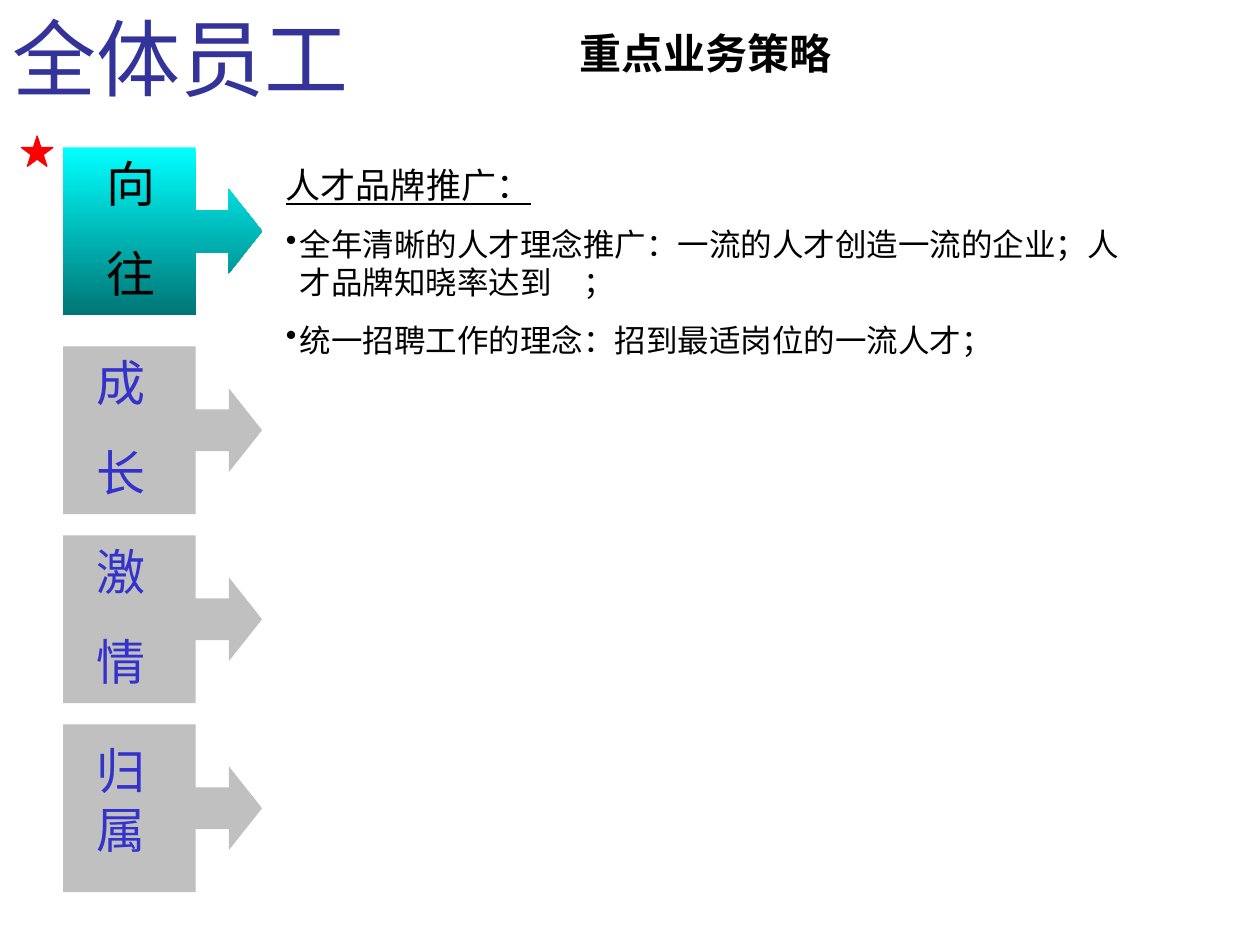
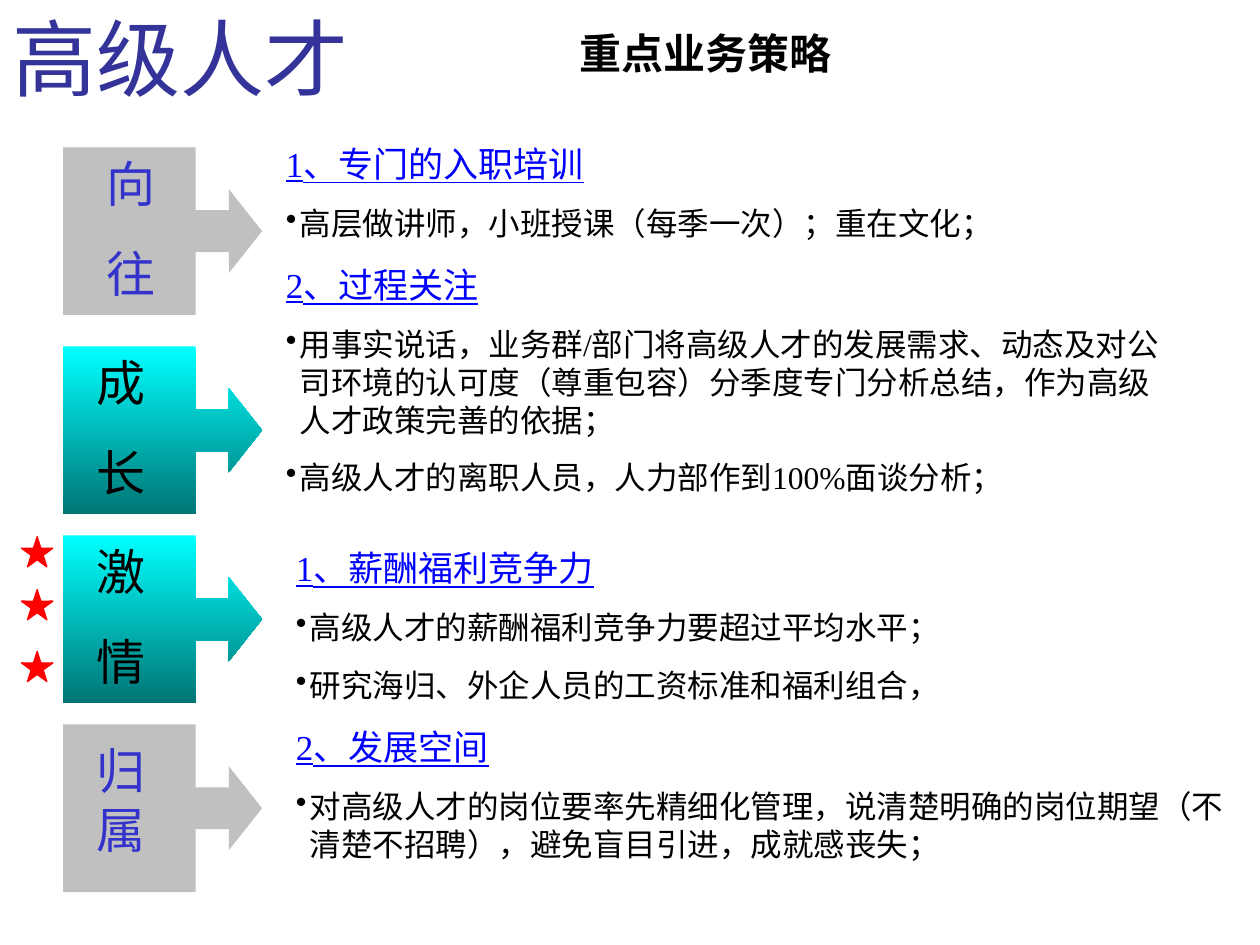
from lxml import etree
from pptx import Presentation
from pptx.dml.color import RGBColor
from pptx.enum.shapes import MSO_SHAPE as Shape
from pptx.enum.text import MSO_ANCHOR as Anchor, MSO_AUTO_SIZE as AutoSize, PP_ALIGN as Align
from pptx.oxml.ns import qn
from pptx.util import Inches, Pt

# Content: a body line is (kind, text)
HEAD, BULLET = "head", "bullet"
SUBTITLE = "重点业务策略"

# Stage: label lines, top of callout, label left, label top
STAGES = [
    (["向", "往"], 1.17, 0.75, 1.17),
    (["成", "长"], 2.75, 0.67, 2.75),
    (["激", "情"], 4.25, 0.67, 4.25),
    (["归属"], 5.75, 0.67, 5.83),
]

SLIDES = [
    {
        "title": "全体员工",
        "active": {0},
        "star_tops": [1.08],
        "head_colour": "black",
        "bodies": [
            ((2.17, 1.25, 6.92, 2.11), [
                (HEAD, "人才品牌推广："),
                (BULLET, "全年清晰的人才理念推广：一流的人才创造一流的企业；人才品牌知晓率达到　；"),
                (BULLET, "统一招聘工作的理念：招到最适岗位的一流人才；"),
            ]),
        ],
    },
    {
        "title": "高级人才",
        "active": {1, 2},
        "star_tops": [4.26, 4.68, 5.17],
        "head_colour": "link",
        "bodies": [
            ((2.17, 1.08, 7.17, 2.91), [
                (HEAD, "1、专门的入职培训"),
                (BULLET, "高层做讲师，小班授课（每季一次）；重在文化；"),
                (HEAD, "2、过程关注"),
                (BULLET, "用事实说话，业务群/部门将高级人才的发展需求、动态及对公司环境的认可度"
                         "（尊重包容）分季度专门分析总结，作为高级人才政策完善的依据；"),
                (BULLET, "高级人才的离职人员，人力部作到100%面谈分析；"),
            ]),
            ((2.25, 4.29, 7.75, 3.07), [
                (HEAD, "1、薪酬福利竞争力"),
                (BULLET, "高级人才的薪酬福利竞争力要超过平均水平；"),
                (BULLET, "研究海归、外企人员的工资标准和福利组合，"),
                (HEAD, "2、发展空间"),
                (BULLET, "对高级人才的岗位要率先精细化管理，说清楚明确的岗位期望"
                         "（不清楚不招聘），避免盲目引进，成就感丧失；"),
            ]),
        ],
    },
]

# Shared style
COLOURS = {
    "title": "333399", "black": "000000", "link": "0000FF", "idle_label": "3333CC",
    "idle": "C0C0C0", "active_top": "00FFFF", "active_bottom": "007575", "star": "FF0000",
}
TITLE_FONT, TEXT_FONT = "Lato", "Times New Roman"
CALLOUT_ADJUSTMENTS = (0.25, 0.25, 0.198, 0.667)
HANGING = Inches(0.11)


def rgb(name):
    return RGBColor.from_string(COLOURS[name])


def set_font(paragraph, size, colour, face=TEXT_FONT, bold=None, underline=None):
    font = paragraph.font
    font.size, font.name, font.bold, font.underline = Pt(size), face, bold, underline
    font.color.rgb = rgb(colour)


def add_text(slide, box, lines, space_before=0, grow=True):
    """Add a wrapping text box and return its frame, one paragraph per line."""
    frame = slide.shapes.add_textbox(*map(Inches, box)).text_frame
    frame.word_wrap = True
    frame.auto_size = AutoSize.SHAPE_TO_FIT_TEXT if grow else AutoSize.NONE
    for i, line in enumerate(lines):
        paragraph = frame.add_paragraph() if i else frame.paragraphs[0]
        paragraph.text = line
        if i:
            paragraph.space_before = Pt(space_before)
    return frame


def hang(paragraph, bullet):
    """Give a hanging indent and, if asked, a black bullet."""
    properties = paragraph._p.get_or_add_pPr()
    properties.set("marL", str(HANGING))
    properties.set("indent", str(-HANGING))
    if bullet:
        colour = etree.SubElement(properties, qn("a:buClr"))
        etree.SubElement(colour, qn("a:srgbClr"), val=COLOURS["black"])
        etree.SubElement(properties, qn("a:buChar"), char="•")


def add_header(slide, text):
    title = slide.shapes.title
    title.left, title.top, title.width, title.height = map(Inches, (0, 0, 9.7, 0.61))
    frame = title.text_frame
    frame.text = text
    frame.vertical_anchor, frame.auto_size = Anchor.TOP, AutoSize.NONE
    frame.paragraphs[0].alignment = Align.LEFT
    set_font(frame.paragraphs[0], 48, "title", TITLE_FONT)

    subtitle = add_text(slide, (4.5, 0, 6.75, 0.83), [SUBTITLE], grow=False)
    subtitle.vertical_anchor = Anchor.MIDDLE
    set_font(subtitle.paragraphs[0], 24, "black", bold=True)


def add_stage(slide, stage, active):
    label_lines, top, label_left, label_top = stage
    callout = slide.shapes.add_shape(
        Shape.RIGHT_ARROW_CALLOUT, *map(Inches, (0.5, top, 1.58, 1.33)))
    callout.shadow.inherit = False
    callout.line.fill.background()
    for i, value in enumerate(CALLOUT_ADJUSTMENTS):
        callout.adjustments[i] = value
    if active:
        callout.fill.gradient()
        callout.fill.gradient_angle = 270
        for stop, name in zip(callout.fill.gradient_stops, ("active_top", "active_bottom")):
            stop.color.rgb = rgb(name)
    else:
        callout.fill.solid()
        callout.fill.fore_color.rgb = rgb("idle")

    label_height = 1.28 if len(label_lines) > 1 else 1.04
    label = add_text(slide, (label_left, label_top, 0.75, label_height), label_lines, 17.5)
    for paragraph in label.paragraphs:
        set_font(paragraph, 28, "black" if active else "idle_label")


def add_star(slide, top):
    star = slide.shapes.add_shape(Shape.STAR_5_POINT, *map(Inches, (0.17, top, 0.25, 0.24)))
    star.shadow.inherit = False
    star.fill.solid()
    star.fill.fore_color.rgb = star.line.color.rgb = rgb("star")
    star.line.width = Pt(0.75)


def add_body(slide, box, items, head_colour):
    body = add_text(slide, box, [text for _, text in items], 11.2)
    for i, (paragraph, (kind, _)) in enumerate(zip(body.paragraphs, items)):
        hang(paragraph, kind == BULLET)
        if kind == HEAD:
            if i:
                paragraph.space_before = Pt(12.5)
            set_font(paragraph, 20, head_colour, underline=True)
        else:
            set_font(paragraph, 18, "black")


def main():
    deck = Presentation()
    deck.slide_width, deck.slide_height = Inches(10), Inches(7.5)
    title_only = deck.slide_layouts[5]
    for content in SLIDES:
        slide = deck.slides.add_slide(title_only)
        add_header(slide, content["title"])
        for i, stage in enumerate(STAGES):
            add_stage(slide, stage, i in content["active"])
        for box, items in content["bodies"]:
            add_body(slide, box, items, content["head_colour"])
        for top in content["star_tops"]:
            add_star(slide, top)
    deck.save("out.pptx")


if __name__ == "__main__":
    main()
